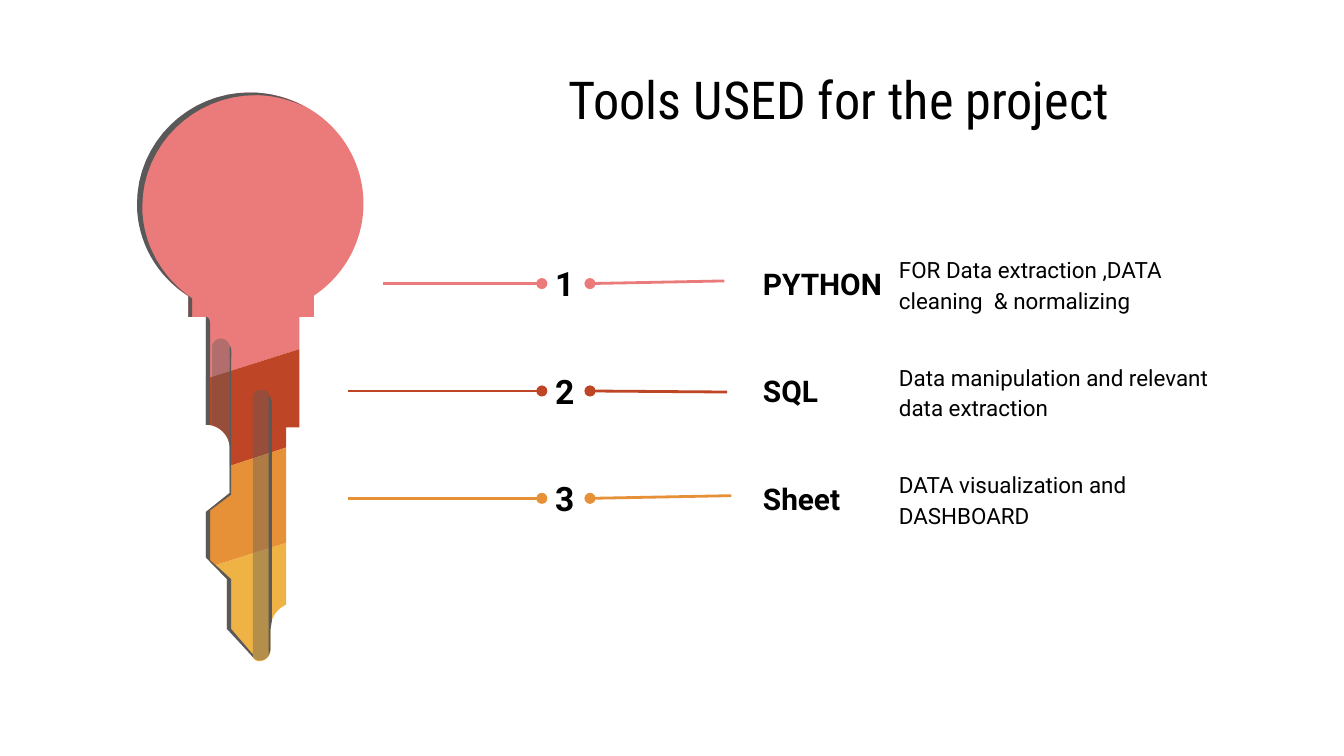
"""Build a slide that lists the project tools beside a segmented key."""
import lxml.etree
import pptx
import pptx.dml.color
import pptx.enum.shapes
import pptx.enum.text
import pptx.oxml.ns
import pptx.util

Cm = pptx.util.Cm
RGBColor = pptx.dml.color.RGBColor
Anchor = pptx.enum.text.MSO_ANCHOR
Align = pptx.enum.text.PP_ALIGN
qn = pptx.oxml.ns.qn

BLACK = RGBColor(0x00, 0x00, 0x00)
GREY = RGBColor(0x59, 0x59, 0x59)
PINK = RGBColor(0xEB, 0x7B, 0x7B)
RUST = RGBColor(0xBE, 0x46, 0x26)
ORANGE = RGBColor(0xE6, 0x91, 0x38)
YELLOW = RGBColor(0xEE, 0xB2, 0x45)

ROW_TOP, ROW_STEP = 5.36, 2.03
NUMBER_LEFT, NUMBER_RIGHT = 10.24, 11.15
CURVE_STEPS = 16

COLLAR = [(3.56, 5.36), (3.56, 5.99), (5.94, 5.99), (5.94, 5.36)]
STEM = [(3.89, 5.69), (3.89, 7.16), (5.66, 6.6), (5.66, 5.69)]
TIP = [(5.41, 10.26), (4.04, 10.69), (4.29, 10.95), (4.29, 11.86), (4.78, 12.42),
       (4.8, 12.47, 4.85, 12.5, 4.9, 12.5), (5, 12.5, 5.11, 12.42, 5.11, 12.29),
       (5.11, 11.91), (5.11, 11.68, 5.23, 11.51, 5.41, 11.43)]
UPPER_BLADE = [(5.66, 6.6), (3.89, 7.16), (3.89, 8.03),
               (4.14, 8.03, 4.34, 8.23, 4.34, 8.46), (4.34, 8.81),
               (5.41, 8.46), (5.41, 8.08), (5.66, 8.08)]
LOWER_BLADE = [(5.41, 8.46), (4.34, 8.81), (4.34, 9.32), (3.89, 9.68),
               (3.89, 10.54), (4.04, 10.69), (5.41, 10.26)]
SHORT_GROOVE = [(4.34, 8.46), (4.34, 6.55), (4.34, 6.48, 4.27, 6.4, 4.17, 6.4),
                (4.09, 6.4, 4.01, 6.48, 4.01, 6.55), (4.01, 8.03),
                (4.19, 8.1, 4.34, 8.26, 4.34, 8.46)]
LONG_GROOVE = [(5.11, 12.29), (5.11, 7.52), (5.11, 7.44, 5.03, 7.37, 4.93, 7.37),
               (4.85, 7.37, 4.78, 7.44, 4.78, 7.52), (4.78, 12.42),
               (4.88, 12.55, 5.11, 12.47, 5.11, 12.29)]
HEAD_EDGE = [(4.72, 1.75), (3.56, 1.75, 2.59, 2.69, 2.59, 3.86),
             (2.59, 4.57, 2.97, 5.23, 3.56, 5.59), (3.56, 5.99), (3.63, 5.99),
             (3.63, 5.64), (3.07, 5.26, 2.69, 4.62, 2.69, 3.91),
             (2.69, 2.74, 3.66, 1.8, 4.83, 1.8),
             (5.16, 1.8, 5.46, 1.88, 5.74, 2.01),
             (5.44, 1.85, 5.11, 1.75, 4.72, 1.75)]
STEM_EDGE = [(3.89, 5.99), (3.89, 8.03), (3.97, 8.03), (3.97, 6.1),
             (3.97, 6.05, 3.94, 5.99, 3.89, 5.99)]
GROOVE_EDGE = [(5.08, 7.49), (5.08, 12.37), (5.11, 12.29), (5.11, 11.91),
               (5.14, 11.73), (5.14, 7.77), (5.14, 7.67, 5.16, 7.57, 5.08, 7.49)]
BLADE_EDGE = [(4.34, 6.53), (4.34, 9.32), (3.89, 9.68), (3.89, 10.54),
              (4.04, 10.69), (4.29, 10.95), (4.29, 11.89), (4.78, 12.42),
              (4.78, 12.37), (4.37, 11.89), (4.37, 10.95), (4.14, 10.74),
              (3.97, 10.59), (3.97, 9.65), (4.37, 9.35), (4.37, 6.81),
              (4.37, 6.71, 4.39, 6.6, 4.34, 6.53)]


def trace(outline):
    """Return points for an outline of corners (two numbers) and Bézier curves (six)."""
    points = []
    for step in outline:
        if len(step) == 2:
            points.append(step)
            continue
        corners = [points[-1], step[:2], step[2:4], step[4:]]
        for index in range(1, CURVE_STEPS + 1):
            t = index / CURVE_STEPS
            weights = ((1 - t) ** 3, 3 * t * (1 - t) ** 2, 3 * t * t * (1 - t), t ** 3)
            points.append(tuple(sum(weight * corner[axis]
                                    for weight, corner in zip(weights, corners))
                                for axis in (0, 1)))
    return [(Cm(x), Cm(y)) for x, y in points]


def paint(shape, color, opacity=100):
    """Give the shape a plain fill of the opacity in percent, with no line."""
    shape.shadow.inherit = False
    shape.line.fill.background()
    shape.fill.solid()
    shape.fill.fore_color.rgb = color
    if opacity < 100:
        tint = shape._element.spPr.find(qn("a:solidFill")).find(qn("a:srgbClr"))
        lxml.etree.SubElement(tint, qn("a:alpha"), val=str(opacity * 1000))


def add_outline(page, outlines, color, opacity=100):
    """Draw one freeform made of closed outlines."""
    first, *others = [trace(outline) for outline in outlines]
    builder = page.shapes.build_freeform(*first[0])
    builder.add_line_segments(first[1:], close=True)
    for points in others:
        builder.move_to(*points[0])
        builder.add_line_segments(points[1:], close=True)
    paint(builder.convert_to_shape(), color, opacity)


def add_key(page):
    """Draw the key from its collar to its dark edge."""
    for outline, color in ((COLLAR, PINK), (STEM, PINK), (TIP, YELLOW),
                           (UPPER_BLADE, RUST), (LOWER_BLADE, ORANGE)):
        add_outline(page, [outline], color)
    head = page.shapes.add_shape(pptx.enum.shapes.MSO_SHAPE.OVAL,
                                 Cm(2.6), Cm(1.75), Cm(4.27), Cm(4.2))
    paint(head, PINK)
    for groove in (SHORT_GROOVE, LONG_GROOVE):
        add_outline(page, [groove], GREY, opacity=39)
    add_outline(page, [HEAD_EDGE, STEM_EDGE, GROOVE_EDGE, BLADE_EDGE], GREY)


def write(box, text, size, font="Roboto", bold=False, anchor=Anchor.MIDDLE,
          align=Align.LEFT, spacing=1.0):
    """Fill the box with one formatted paragraph."""
    frame = box.text_frame
    frame.word_wrap = True
    frame.auto_size = pptx.enum.text.MSO_AUTO_SIZE.NONE
    frame.vertical_anchor = anchor
    frame.margin_left = frame.margin_right = Cm(0.25)
    frame.margin_top = frame.margin_bottom = Cm(0.25)
    para = frame.paragraphs[0]
    para.alignment = align
    para.line_spacing = spacing
    span = para.add_run()
    span.text = text
    span.font.name = font
    span.font.size = pptx.util.Pt(size)
    span.font.bold = bold
    span.font.color.rgb = BLACK


def add_text(page, left, top, width, height, text, size, **style):
    """Add a text box with the given format."""
    box = page.shapes.add_textbox(Cm(left), Cm(top), Cm(width), Cm(height))
    write(box, text, size, **style)


def add_pointer(page, start, end, color):
    """Draw a line with a dot at its start."""
    pointer = page.shapes.add_connector(pptx.enum.shapes.MSO_CONNECTOR.STRAIGHT,
                                        *map(Cm, start), *map(Cm, end))
    pointer.line.color.rgb = color
    pointer.line.width = pptx.util.Pt(1.5)
    properties = pointer._element.spPr
    lxml.etree.SubElement(properties.find(qn("a:ln")), qn("a:headEnd"), type="oval")
    lxml.etree.SubElement(properties, qn("a:effectLst"))


def add_tool(page, index, name, purpose, color, key_end, name_end, rise):
    """Add one numbered tool row with its two pointers."""
    middle = ROW_TOP + ROW_STEP * index
    top = middle - 0.62
    add_text(page, NUMBER_LEFT, top, 0.91, 1.24, str(index + 1), 18, bold=True)
    add_text(page, 14.17, top, 2.9, 1.24, name, 16, bold=True)
    add_text(page, 16.74, middle - 0.84, 6.83, 1.63, purpose, 12,
             anchor=Anchor.TOP, spacing=1.15)
    add_pointer(page, (NUMBER_LEFT, middle), (key_end, middle), color)
    add_pointer(page, (NUMBER_RIGHT, middle), (name_end, middle - rise), color)


def main():
    """Build and save the slide."""
    deck = pptx.Presentation()
    deck.slide_width, deck.slide_height = Cm(25.4), Cm(14.29)
    page = deck.slides.add_slide(deck.slide_layouts.get_by_name("Title Only"))
    title = page.shapes.title
    title.left, title.top, title.width, title.height = map(Cm, (8.36, 0.91, 15.21, 1.91))
    write(title, "Tools USED for the project ", 28, font="Roboto Condensed",
          align=Align.CENTER)
    add_key(page)
    tools = (
        ("PYTHON", "FOR Data extraction ,DATA cleaning  & normalizing", PINK, 7.24, 13.69, 0.05),
        ("SQL", "Data manipulation and relevant data extraction", RUST, 6.58, 13.74, -0.02),
        ("Sheet", "DATA visualization and DASHBOARD", ORANGE, 6.58, 13.82, 0.05),
    )
    for index, tool in enumerate(tools):
        add_tool(page, index, *tool)
    deck.save("out.pptx")


if __name__ == "__main__":
    main()
